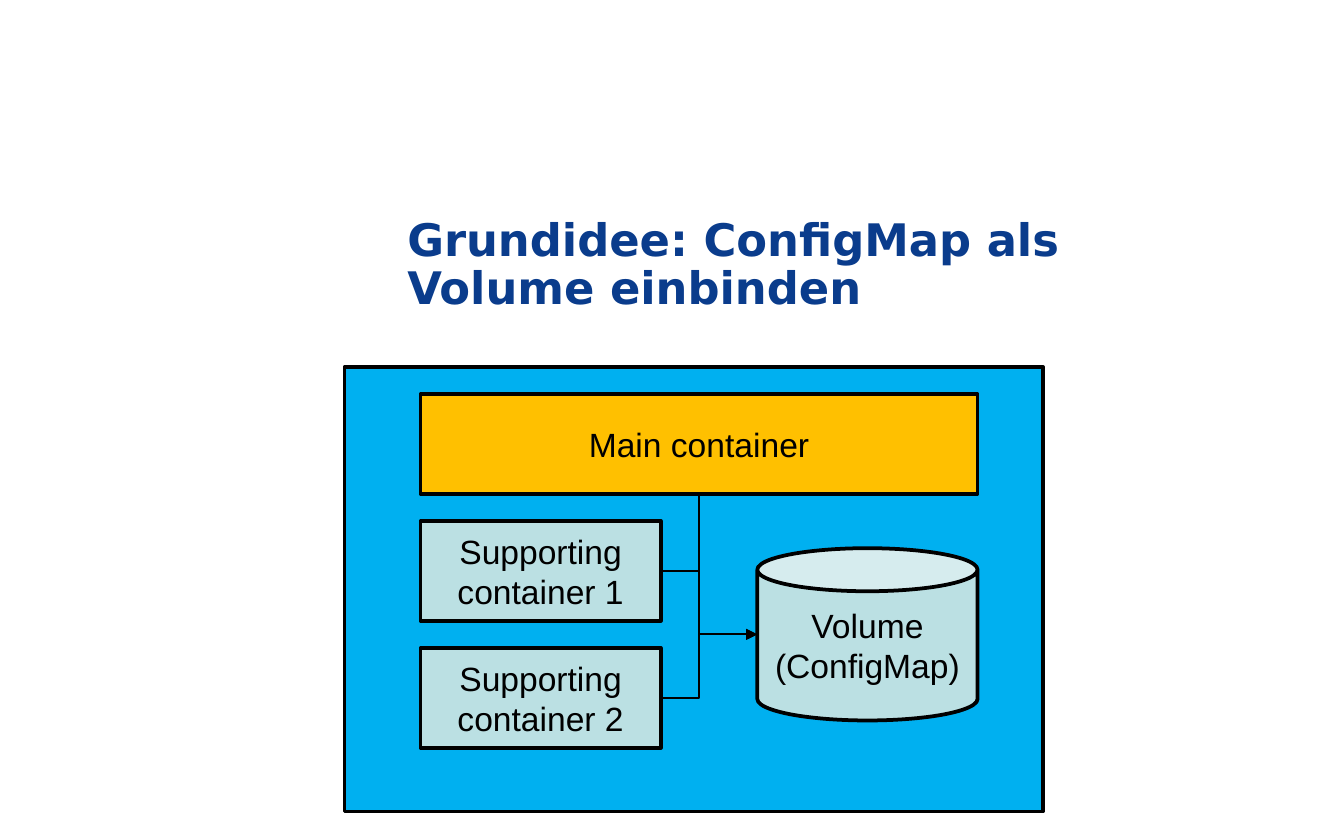
from pptx import Presentation
from pptx import util as u
from pptx.dml.color import RGBColor
from pptx.enum import shapes, text
from pptx.oxml.ns import qn
from lxml import etree

# Content
TITLE = "Grundidee: ConfigMap als Volume einbinden"
MAIN = ["Main container"]
SUPPORTING = [["Supporting container 1"], ["Supporting container 2"]]
VOLUME = ["Volume", "(ConfigMap)"]

# Layout in points: left, top, width, height
TITLE_BOX = (218.2, 83.5, 453.6, 102.2)
POD_BOX = (184.5, 196.6, 374.2, 238.2)
LEFT, TOP, ROW_HEIGHT, ROW_PITCH = 225.3, 211.1, 53.5, 68
MAIN_WIDTH, SUPPORT_WIDTH = 298.4, 128.7
VOLUME_WIDTH, VOLUME_HEIGHT = 118, 92.3

BLACK, SKY, AMBER, PALE, NAVY = "000000", "00B0F0", "FFC000", "BBE0E3", "0A3C8C"


def color(code):
    return RGBColor.from_string(code)


def write(frame, lines, *, font="Arial", size=18, ink=BLACK, bold=False,
          align=text.PP_ALIGN.CENTER, anchor=text.MSO_ANCHOR.MIDDLE, spacing=1.0):
    frame.word_wrap = True
    frame.vertical_anchor = anchor
    for i, line in enumerate(lines):
        paragraph = frame.paragraphs[0] if i == 0 else frame.add_paragraph()
        paragraph.alignment = align
        paragraph.line_spacing = spacing
        run = paragraph.add_run()
        run.text = line
        run.font.name, run.font.size, run.font.bold = font, u.Pt(size), bold
        run.font.color.rgb = color(ink)


def add_block(slide, kind, box, fill, lines=()):
    block = slide.shapes.add_shape(kind, *map(u.Pt, box))
    block.shadow.inherit = False
    block.fill.solid()
    block.fill.fore_color.rgb = color(fill)
    block.line.color.rgb = color(BLACK)
    block.line.width = u.Pt(2)
    write(block.text_frame, lines)
    return block


def add_link(slide, kind, start, end, bend=None, arrow=False):
    link = slide.shapes.add_connector(kind, *map(u.Pt, (*start, *end)))
    link.line.color.rgb = color(BLACK)
    link.line.width = u.Pt(1)
    properties = link._element.spPr
    if arrow:
        etree.SubElement(properties.find(qn("a:ln")), qn("a:tailEnd"), type="triangle")
    etree.SubElement(properties, qn("a:effectLst"))
    if bend is not None:
        guides = properties.find(qn("a:prstGeom")).get_or_add_avLst()
        etree.SubElement(guides, qn("a:gd"), name="adj1", fmla=f"val {round(bend * 100000)}")


prs = Presentation()
prs.slide_width, prs.slide_height = u.Pt(720), u.Pt(450)
slide = prs.slides.add_slide(prs.slide_layouts[6])

# Title
title = slide.shapes.add_textbox(*map(u.Pt, TITLE_BOX)).text_frame
title.margin_left = title.margin_top = title.margin_right = 0
title.margin_bottom = u.Pt(17.3)
write(title, [TITLE], font="DejaVu Sans", size=24, ink=NAVY, bold=True,
      align=text.PP_ALIGN.LEFT, anchor=text.MSO_ANCHOR.BOTTOM, spacing=0.9)

# Pod with its containers
rect = shapes.MSO_SHAPE.RECTANGLE
add_block(slide, rect, POD_BOX, SKY)
add_block(slide, rect, (LEFT, TOP, MAIN_WIDTH, ROW_HEIGHT), AMBER, MAIN)
support_tops = [TOP + ROW_PITCH * (i + 1) for i in range(len(SUPPORTING))]
for top, label in zip(support_tops, SUPPORTING):
    add_block(slide, rect, (LEFT, top, SUPPORT_WIDTH, ROW_HEIGHT), PALE, label)

# Volume: flush right with the main container, centred on the supporting rows
volume_left = LEFT + MAIN_WIDTH - VOLUME_WIDTH
volume_middle = (support_tops[0] + support_tops[-1] + ROW_HEIGHT) / 2
add_block(slide, shapes.MSO_SHAPE.CAN,
          (volume_left, volume_middle - VOLUME_HEIGHT / 2, VOLUME_WIDTH, VOLUME_HEIGHT),
          PALE, VOLUME)

# Links: all meet on the main container's centre line and lead to the volume
trunk = LEFT + MAIN_WIDTH / 2
support_right = LEFT + SUPPORT_WIDTH
bend = (trunk - support_right) / (volume_left - support_right)
for top in support_tops:
    add_link(slide, shapes.MSO_CONNECTOR.ELBOW, (support_right, top + ROW_HEIGHT / 2),
             (volume_left, volume_middle), bend=bend, arrow=True)
add_link(slide, shapes.MSO_CONNECTOR.STRAIGHT, (trunk, TOP + ROW_HEIGHT), (trunk, volume_middle))

prs.save("out.pptx")
